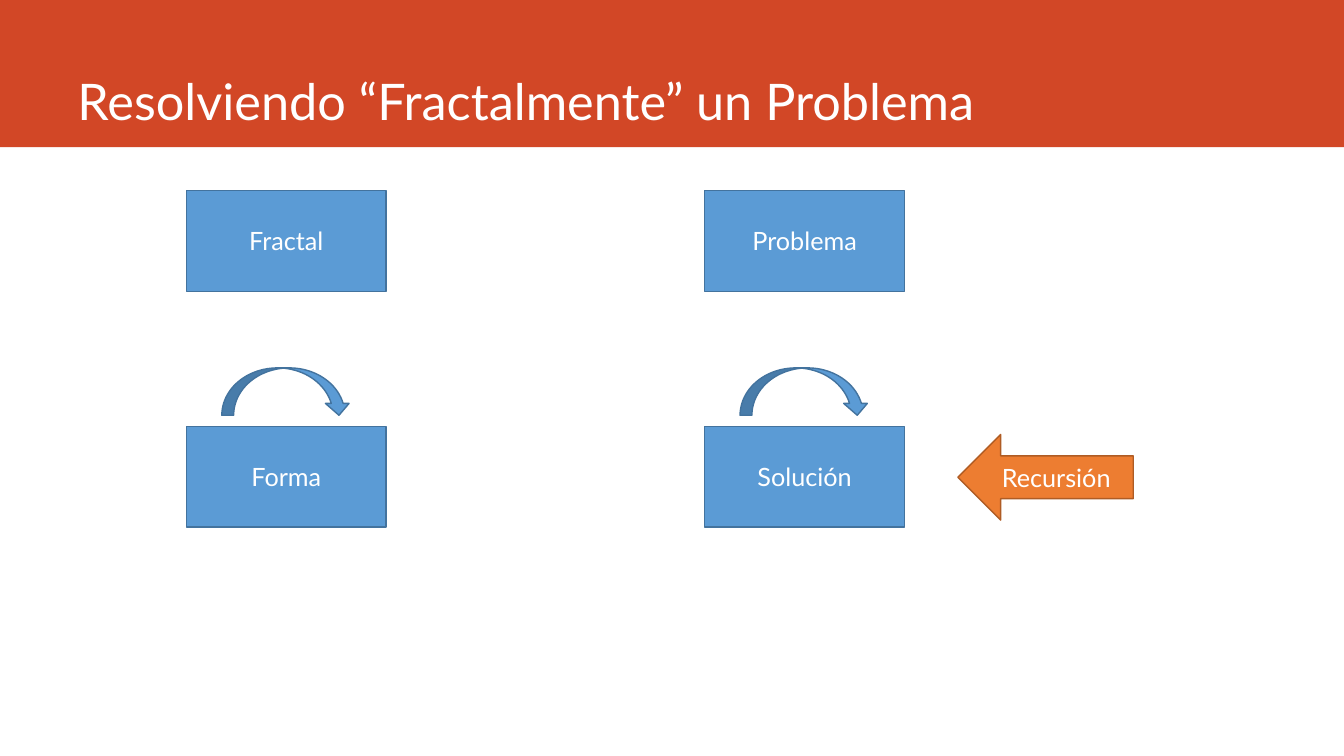
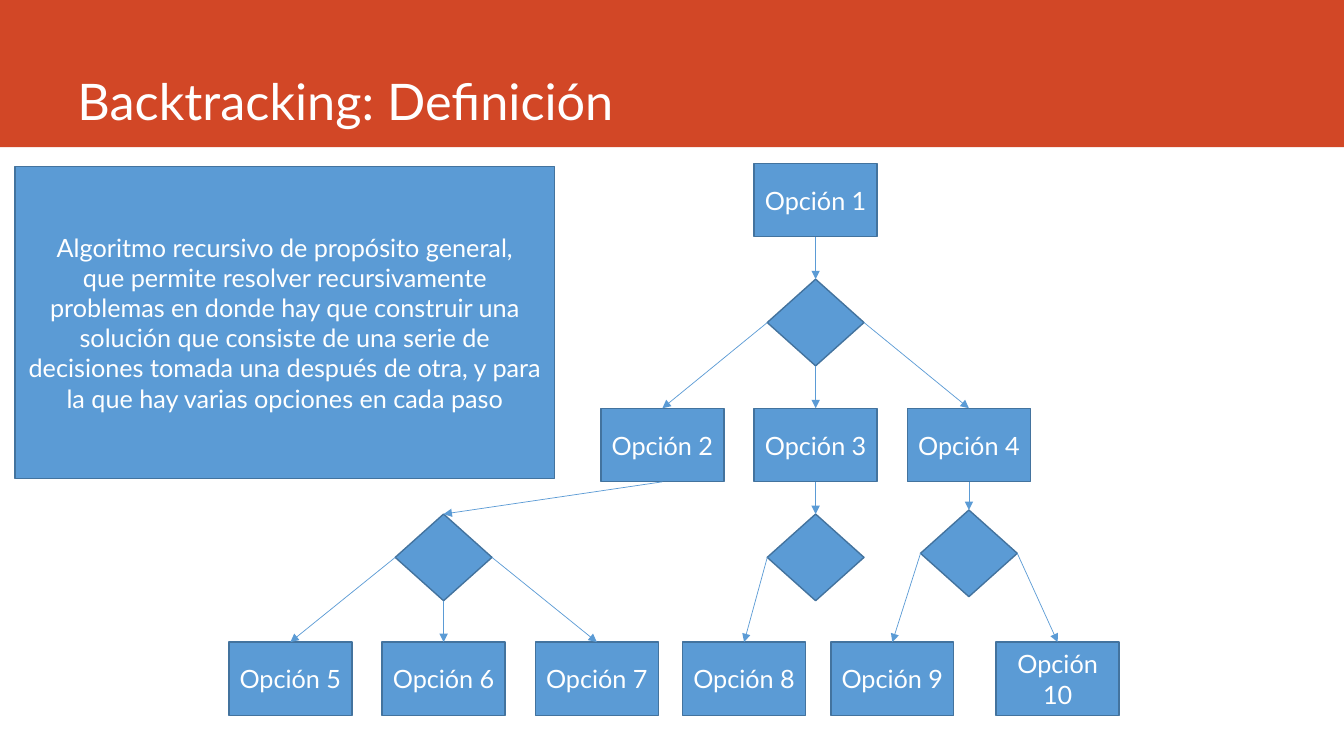
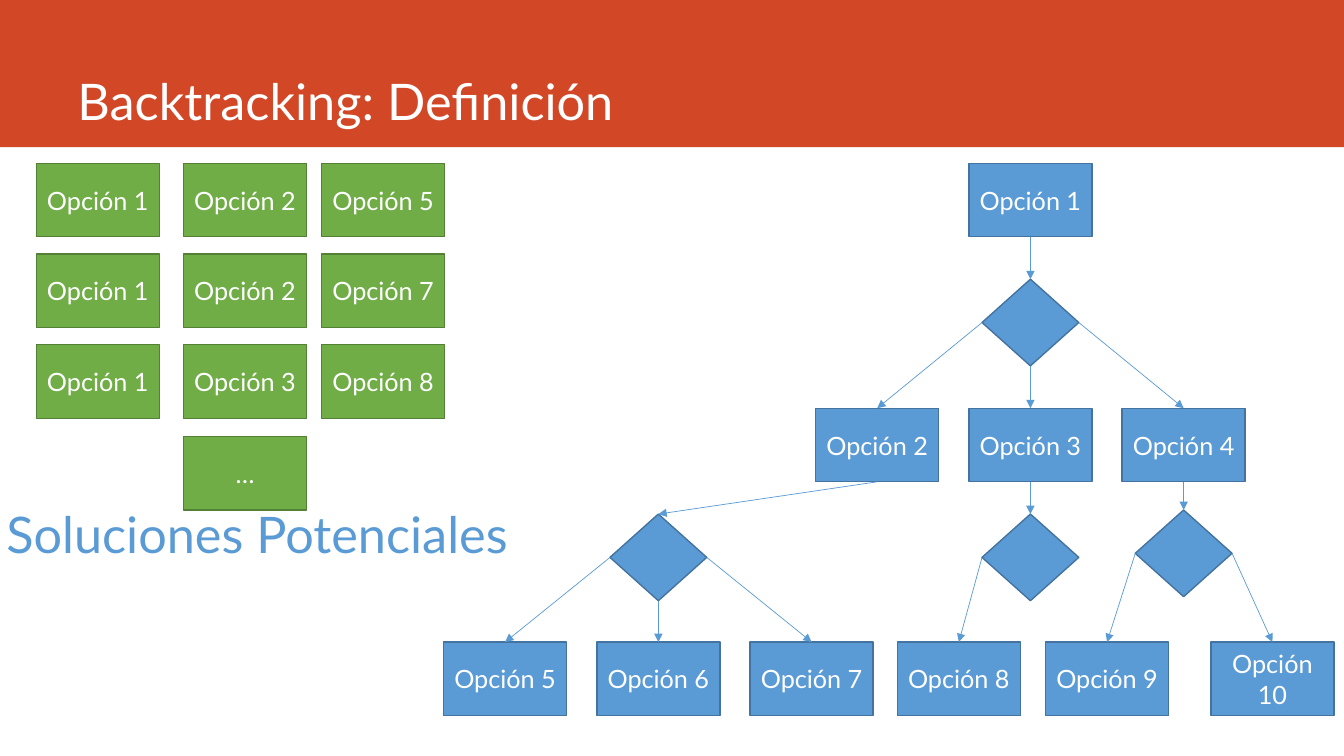
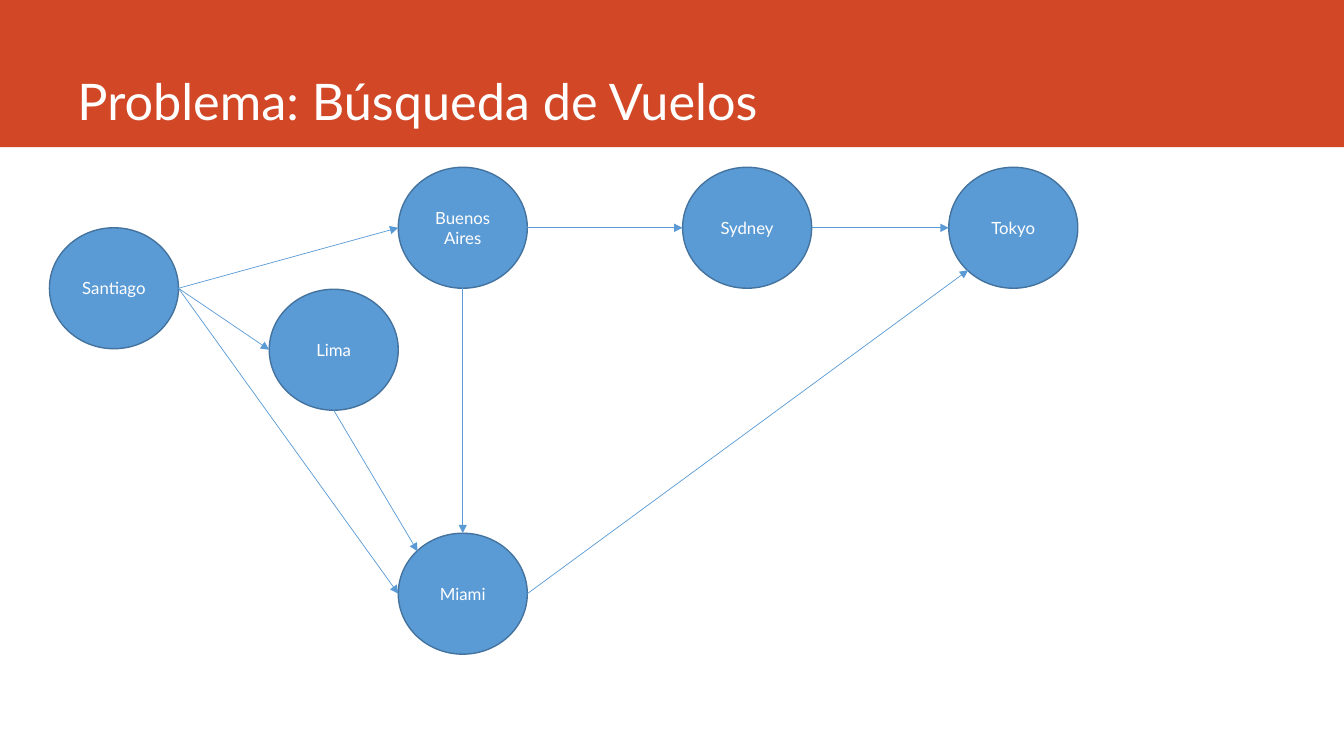
"""Build four slides on recursion and backtracking."""
import pptx
import pptx.util
import pptx.dml.color
import pptx.enum.shapes
import pptx.enum.text
import pptx.oxml
import pptx.oxml.ns

RGB = pptx.dml.color.RGBColor
WHITE = RGB(0xFF, 0xFF, 0xFF)
RED = RGB(0xD2, 0x47, 0x26)
BLUE = RGB(0x5B, 0x9B, 0xD5)
NAVY = RGB(0x43, 0x73, 0x9E)
GREEN = RGB(0x70, 0xAD, 0x47)
MOSS = RGB(0x53, 0x80, 0x35)
AMBER = RGB(0xED, 0x7D, 0x31)
RUST = RGB(0xAF, 0x5C, 0x24)

KIND = pptx.enum.shapes.MSO_SHAPE
ALIGN = pptx.enum.text.PP_ALIGN
ANCHOR = pptx.enum.text.MSO_ANCHOR
FONT = "Lato"
SCALE = 9144
WIDE, HIGH = 1333, 750
BOX_W, BOX_H = 122, 73
GEM_W, GEM_H = 96, 86
DISC_W, DISC_H = 128, 120

TOP, LEFT, BASE, RIGHT = (0.5, 0), (0, 0.5), (0.5, 1), (1, 0.5)
NOOK = (0.15, 0.15)
NICK = (0.15, 0.85)


class Deck:
    """Hold the style and the current slide."""

    def __init__(self):
        self.file = pptx.Presentation()
        self.file.slide_width = WIDE * SCALE
        self.file.slide_height = HIGH * SCALE
        self.slide = None

    def page(self, title):
        self.slide = self.file.slides.add_slide(self.file.slide_layouts[6])
        self.shape(KIND.RECTANGLE, 0, 0, WIDE, 146, fill=RED, edge=None)
        self.label(title, 67, 0, 1175, 134, WHITE, ALIGN.LEFT, ANCHOR.BOTTOM)

    def style(self, shape, words, size, color, align, anchor):
        frame = shape.text_frame
        frame.text = words
        frame.vertical_anchor = anchor
        for para in frame.paragraphs:
            para.alignment = align
            for run in para.runs:
                run.font.name = FONT
                run.font.size = pptx.util.Pt(size)
                run.font.color.rgb = color

    def label(self, words, x, y, w, h, color, align, anchor, wrap=True):
        box = self.slide.shapes.add_textbox(*(n * SCALE for n in (x, y, w, h)))
        box.text_frame.word_wrap = wrap
        self.style(box, words, 36, color, align, anchor)

    def shape(self, kind, x, y, w, h, words="", size=18, fill=BLUE, edge=NAVY):
        item = self.slide.shapes.add_shape(kind, *(n * SCALE for n in (x, y, w, h)))
        item.shadow.inherit = False
        item.fill.solid()
        item.fill.fore_color.rgb = fill
        if edge is None:
            item.line.fill.background()
        else:
            item.line.color.rgb = edge
            item.line.width = pptx.util.Pt(1)
        if words:
            self.style(item, words, size, WHITE, ALIGN.CENTER, ANCHOR.MIDDLE)
        return item

    def box(self, x, y, words, fill=BLUE, edge=NAVY):
        return self.shape(KIND.RECTANGLE, x, y, BOX_W, BOX_H, words, fill=fill, edge=edge)

    def link(self, start, leave, end, enter):
        spots = []
        for item, (across, down) in ((start, leave), (end, enter)):
            spots.append(round(item.left + item.width * across))
            spots.append(round(item.top + item.height * down))
        line = self.slide.shapes.add_connector(
            pptx.enum.shapes.MSO_CONNECTOR.STRAIGHT, *spots)
        line.line.color.rgb = BLUE
        line.line.width = pptx.util.Pt(0.5)
        space = pptx.oxml.ns.nsdecls("a")
        props = line._element.spPr
        props.find(pptx.oxml.ns.qn("a:ln")).append(
            pptx.oxml.parse_xml(f'<a:tailEnd {space} type="triangle"/>'))
        props.append(pptx.oxml.parse_xml(f"<a:effectLst {space}/>"))

    def tree(self, mid):
        step = 152
        low = mid - 369
        rows = (
            (162, {1: mid}),
            (405, {2: mid - step, 3: mid, 4: mid + step}),
            (637, {5: low - step, 6: low, 7: low + step,
                   8: mid - 71, 9: mid + 76, 10: mid + 240}),
        )
        nodes = {}
        for y, row in rows:
            for num, x in row.items():
                nodes[num] = self.box(x - BOX_W // 2, y, f"Opción {num}")
        forks = (
            (1, mid, 277, {2: LEFT, 3: BASE, 4: RIGHT}),
            (2, low, 510, {5: LEFT, 6: BASE, 7: RIGHT}),
            (3, mid, 510, {8: LEFT}),
            (4, mid + step, 506, {9: LEFT, 10: RIGHT}),
        )
        for root, x, y, heirs in forks:
            gem = self.shape(KIND.DIAMOND, x - GEM_W // 2, y, GEM_W, GEM_H)
            self.link(nodes[root], BASE, gem, TOP)
            for num, side in heirs.items():
                self.link(gem, side, nodes[num], TOP)


def fractal(deck):
    deck.page("Resolviendo “Fractalmente” un Problema")
    for x, upper, lower in ((185, "Fractal", "Forma"), (699, "Problema", "Solución")):
        for y, words in ((189, upper), (423, lower)):
            deck.shape(KIND.RECTANGLE, x, y, 198, 100, words)
        deck.shape(KIND.CURVED_DOWN_ARROW, x + 35, 365, 128, 47)
    deck.shape(KIND.LEFT_ARROW, 950, 431, 174, 85, "Recursión", fill=AMBER, edge=RUST)


def meaning(deck):
    deck.page("Backtracking: Definición")
    deck.shape(
        KIND.RECTANGLE, 15, 165, 535, 310,
        "Algoritmo recursivo de propósito general,\n"
        "que permite resolver recursivamente problemas en donde hay que "
        "construir una solución que consiste de una serie de decisiones "
        "tomada una después de otra, y para la que hay varias opciones en cada paso")
    deck.tree(809)


def answers(deck):
    deck.page("Backtracking: Definición")
    deck.tree(1022)
    cols = (36, 182, 319)
    for row, nums in enumerate(((1, 2, 5), (1, 2, 7), (1, 3, 8))):
        for x, num in zip(cols, nums):
            deck.box(x, 162 + 90 * row, f"Opción {num}", GREEN, MOSS)
    deck.label("Soluciones Potenciales", -6, 494, 522, 71, BLUE,
               ALIGN.CENTER, ANCHOR.TOP, wrap=False)
    deck.box(cols[1], 433, "…", GREEN, MOSS)


def flights(deck):
    deck.page("Problema: Búsqueda de Vuelos")
    spots = {
        "Santiago": (49, 226), "Buenos\nAires": (395, 166), "Lima": (267, 287),
        "Miami": (395, 529), "Sydney": (677, 166), "Tokyo": (941, 166),
    }
    towns = [deck.shape(KIND.OVAL, x, y, DISC_W, DISC_H, name, 12)
             for name, (x, y) in spots.items()]
    home, south, coast, north, far, goal = towns
    routes = (
        (home, RIGHT, south, LEFT), (south, RIGHT, far, LEFT),
        (far, RIGHT, goal, LEFT), (home, RIGHT, coast, LEFT),
        (home, RIGHT, north, LEFT), (north, RIGHT, goal, NICK),
        (coast, BASE, north, NOOK), (south, BASE, north, TOP),
    )
    for route in routes:
        deck.link(*route)


def main():
    deck = Deck()
    for build in (fractal, meaning, answers, flights):
        build(deck)
    deck.file.save("out.pptx")


if __name__ == "__main__":
    main()
